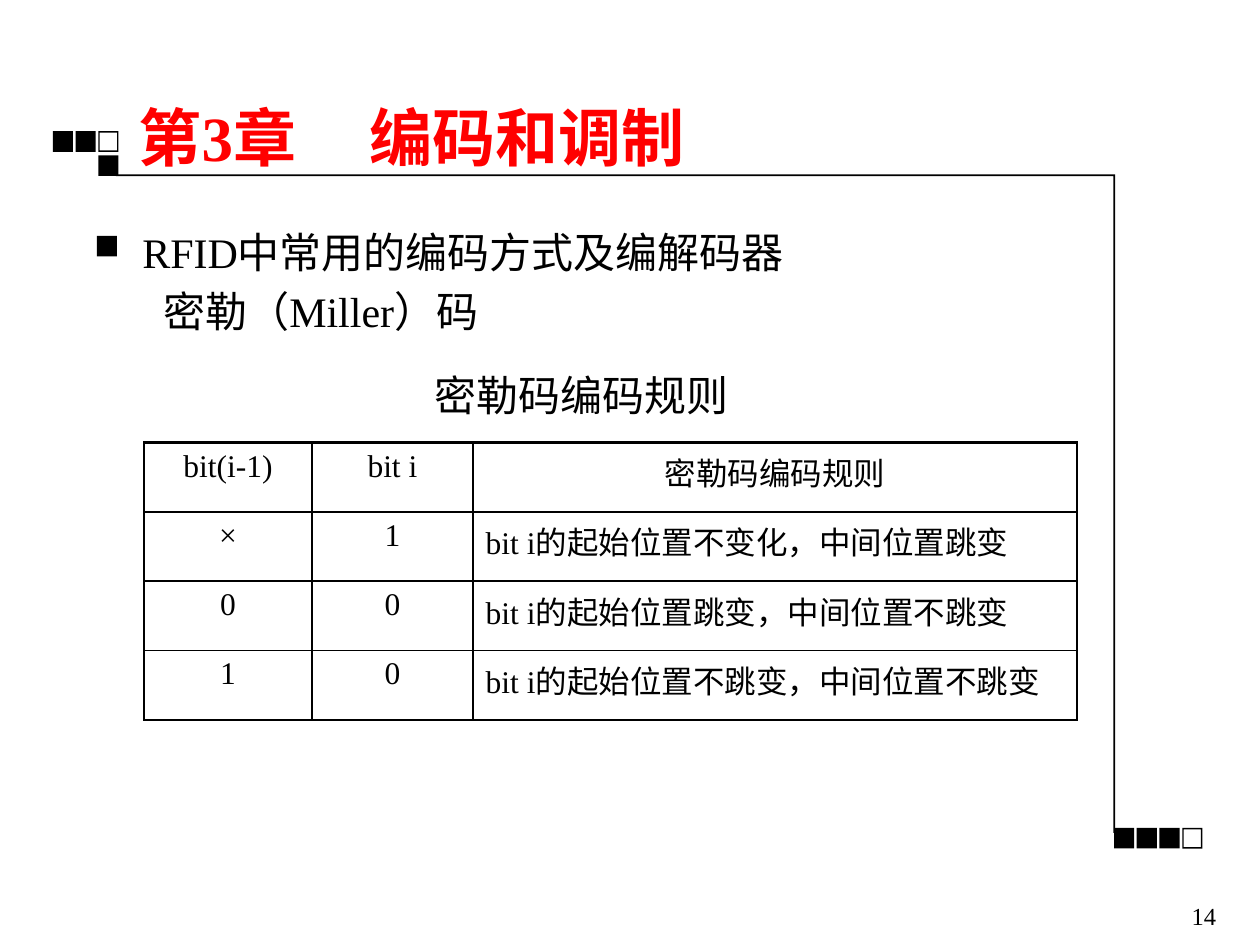
import dataclasses

import lxml.etree
import pptx
import pptx.dml.color
import pptx.enum.shapes
import pptx.enum.text
import pptx.oxml.ns
import pptx.util

Pt = pptx.util.Pt
qn = pptx.oxml.ns.qn
SHAPE = pptx.enum.shapes.MSO_SHAPE
ALIGN = pptx.enum.text.PP_ALIGN
ANCHOR = pptx.enum.text.MSO_ANCHOR

COLORS = {"ink": "000000", "title": "FF0000"}
FONT = "Times New Roman"
SQUARE_PITCH = 13
OUTER_BORDER, INNER_BORDER = 1.5, 1
COLUMN_WIDTHS = [95.8, 92.2, 344.9]
ROW_HEIGHT = 39.6
RULES = [
    ["bit(i-1)", "bit i", "密勒码编码规则"],
    ["×", "1", "bit i的起始位置不变化，中间位置跳变"],
    ["0", "0", "bit i的起始位置跳变，中间位置不跳变"],
    ["1", "0", "bit i的起始位置不跳变，中间位置不跳变"],
]


@dataclasses.dataclass
class Square:
    left: float
    top: float
    width: float = 11.5
    height: float = 11.8
    hollow: bool = False


def color(name: str) -> pptx.dml.color.RGBColor:
    return pptx.dml.color.RGBColor.from_string(COLORS[name])


def paint(shape) -> None:
    shape.shadow.inherit = False
    shape.fill.solid()
    shape.fill.fore_color.rgb = color("ink")
    shape.line.fill.background()


def draw_square(page, square: Square) -> None:
    kind = SHAPE.FRAME if square.hollow else SHAPE.RECTANGLE
    shape = page.shapes.add_shape(
        kind, Pt(square.left), Pt(square.top), Pt(square.width), Pt(square.height))
    if square.hollow:
        shape.adjustments[0] = 0.07
    paint(shape)


def draw_square_row(page, left: float, top: float, count: int) -> None:
    for index in range(count):
        draw_square(page, Square(left + index * SQUARE_PITCH, top, hollow=index == count - 1))


def draw_corner_line(page) -> None:
    left, top, right, bottom, thick = 66.2, 99.7, 637.2, 475.9, 1
    points = [(right, top), (right, bottom), (right - thick, bottom),
              (right - thick, top + thick), (left, top + thick)]
    builder = page.shapes.build_freeform(Pt(left), Pt(top))
    builder.add_line_segments([(Pt(x), Pt(y)) for x, y in points], close=True)
    paint(builder.convert_to_shape())


def write(frame, text: str, *, size: float, tone: str = "ink", bold: bool = False,
          align=ALIGN.LEFT, before: float = 0, indent: float = 0, tab: float = 0,
          append: bool = False) -> None:
    para = frame.add_paragraph() if append else frame.paragraphs[0]
    para.text = text
    para.alignment = align
    if append:
        para.space_before = Pt(before)
    properties = para._p.get_or_add_pPr()
    if indent:
        properties.set("marL", str(Pt(indent)))
    if tab:
        stops = lxml.etree.SubElement(properties, qn("a:tabLst"))
        lxml.etree.SubElement(stops, qn("a:tab"), pos=str(Pt(tab)), algn="l")
    for span in para.runs:
        span.font.name = FONT
        span.font.size = Pt(size)
        span.font.bold = bold
        span.font.color.rgb = color(tone)


def add_box(page, left: float, top: float, width: float, height: float,
            wrap: bool = True, anchor=ANCHOR.TOP):
    box = page.shapes.add_textbox(Pt(left), Pt(top), Pt(width), Pt(height))
    box.text_frame.word_wrap = wrap
    box.text_frame.vertical_anchor = anchor
    return box.text_frame


def set_borders(cell, widths: dict[str, float]) -> None:
    properties = cell._tc.get_or_add_tcPr()
    for position, (side, width) in enumerate(widths.items()):
        line = lxml.etree.Element(qn(f"a:ln{side}"), w=str(Pt(width)))
        fill = lxml.etree.SubElement(line, qn("a:solidFill"))
        lxml.etree.SubElement(fill, qn("a:srgbClr"), val=COLORS["ink"])
        properties.insert(position, line)


def draw_rule_table(page) -> None:
    last_row, last_column = len(RULES) - 1, len(COLUMN_WIDTHS) - 1
    table = page.shapes.add_table(
        len(RULES), len(COLUMN_WIDTHS), Pt(82.4), Pt(252.9),
        Pt(sum(COLUMN_WIDTHS)), Pt(ROW_HEIGHT * len(RULES))).table
    table.first_row = False
    table.horz_banding = False
    for column, width in zip(table.columns, COLUMN_WIDTHS):
        column.width = Pt(width)
    for r, texts in enumerate(RULES):
        table.rows[r].height = Pt(ROW_HEIGHT)
        for c, text in enumerate(texts):
            cell = table.cell(r, c)
            cell.fill.background()
            centred = r == 0 or c < last_column
            write(cell.text_frame, text, size=18,
                  align=ALIGN.CENTER if centred else ALIGN.LEFT)
            on_edge = {"L": c == 0, "R": c == last_column, "T": r == 0, "B": r == last_row}
            set_borders(cell, {side: OUTER_BORDER if edge else INNER_BORDER
                               for side, edge in on_edge.items()})


def format_title(page) -> None:
    title = page.shapes.title
    title.left, title.top, title.width, title.height = Pt(72), Pt(48.2), Pt(523.4), Pt(59.8)
    frame = title.text_frame
    frame.auto_size = pptx.enum.text.MSO_AUTO_SIZE.NONE
    frame.vertical_anchor = ANCHOR.MIDDLE
    write(frame, "第3章\t编码和调制", size=36, tone="title", bold=True, tab=132)


def main() -> None:
    deck = pptx.Presentation()
    deck.slide_width, deck.slide_height = Pt(720), Pt(540)
    page = deck.slides.add_slide(deck.slide_layouts[5])

    draw_square_row(page, 636.6, 473.1, 4)
    draw_square_row(page, 30.2, 75, 3)
    draw_square(page, Square(56.2, 88.8))
    draw_corner_line(page)
    draw_square(page, Square(55.4, 134.8))

    write(add_box(page, 581, 511.2, 121, 28.8), "14", size=14, align=ALIGN.RIGHT)
    format_title(page)
    body = add_box(page, 74.2, 126, 438.5, 336.2)
    write(body, "RFID中常用的编码方式及编解码器", size=24)
    write(body, "密勒（Miller）码", size=24, before=4.8, indent=12, append=True)
    caption = add_box(page, 241.2, 207.4, 190.8, 36, wrap=False, anchor=ANCHOR.MIDDLE)
    write(caption, "密勒码编码规则", size=24)
    draw_rule_table(page)

    deck.save("out.pptx")


if __name__ == "__main__":
    main()
